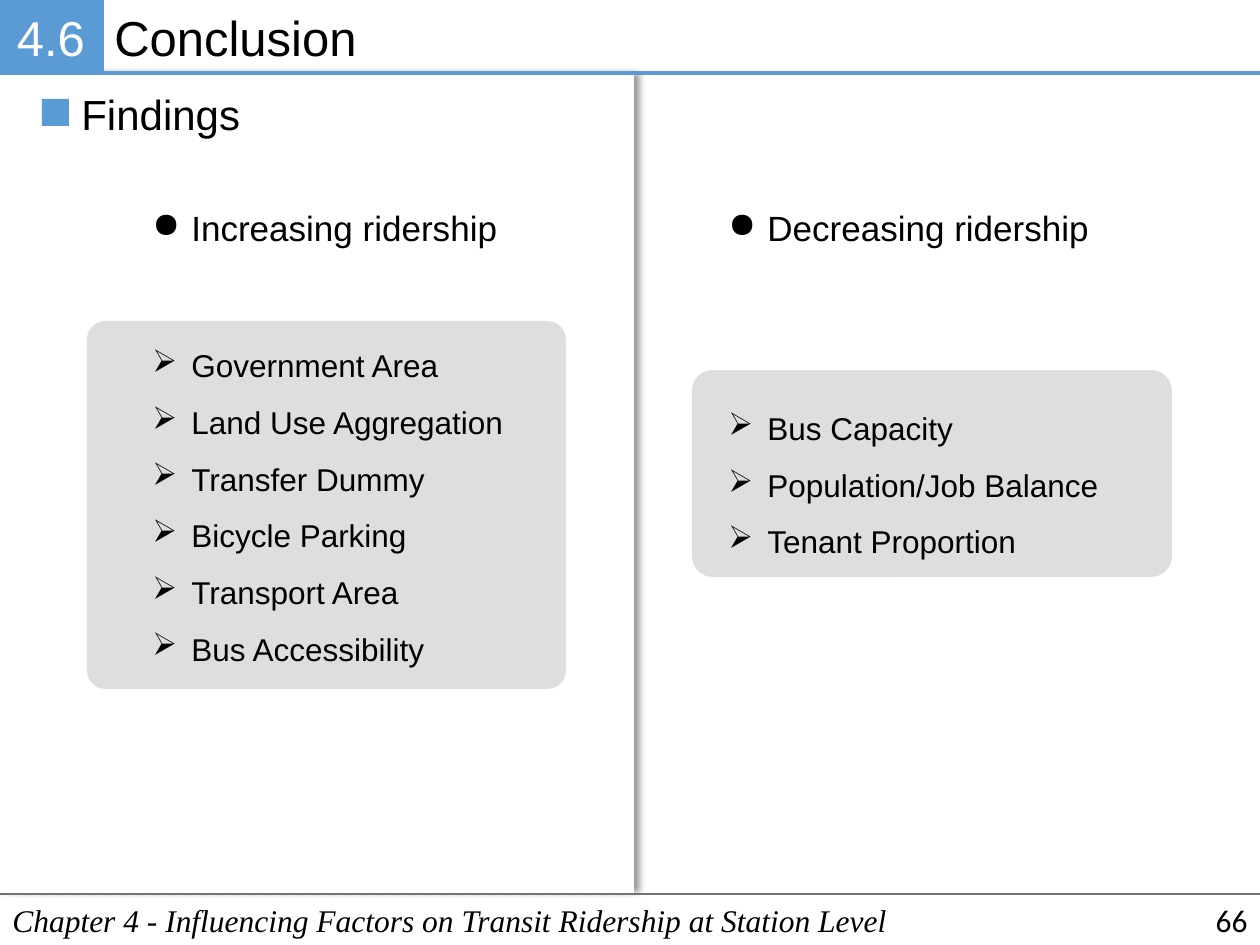
"""Build the conclusion slide on findings about transit ridership."""
from lxml import etree
from pptx import Presentation
from pptx.dml.color import RGBColor
from pptx.enum.shapes import MSO_CONNECTOR, MSO_SHAPE
from pptx.enum.text import MSO_ANCHOR, PP_ALIGN
from pptx.oxml.ns import qn
from pptx.util import Emu, Pt

RECT, ROUND = MSO_SHAPE.RECTANGLE, MSO_SHAPE.ROUNDED_RECTANGLE
STRAIGHT = MSO_CONNECTOR.STRAIGHT
LEFT, CENTER, RIGHT = PP_ALIGN.LEFT, PP_ALIGN.CENTER, PP_ALIGN.RIGHT
TOP, MIDDLE = MSO_ANCHOR.TOP, MSO_ANCHOR.MIDDLE
BLACK = RGBColor(0x00, 0x00, 0x00)
WHITE = RGBColor(0xFF, 0xFF, 0xFF)
BLUE = RGBColor(0x5B, 0x9B, 0xD5)
GRAY = RGBColor(0x7F, 0x7F, 0x7F)
RULE = RGBColor(0x76, 0x71, 0x71)
SCALE = 914400 / 126
INDENT = 39


def px(*nums):
    return [Emu(round(num * SCALE)) for num in nums]


def write(text, shape, size=18, font="Arial", color=BLACK, italic=False,
          align=LEFT, anchor=TOP, wrap=True, bullet=None, space=None):
    frame = shape.text_frame
    frame.word_wrap = wrap
    frame.vertical_anchor = anchor
    frame.text = text
    for para in frame.paragraphs:
        para.alignment = align
        if space:
            para.line_spacing = space
        if bullet:
            props = para._p.get_or_add_pPr()
            hang = px(INDENT)[0]
            props.set("marL", str(hang))
            props.set("indent", str(-hang))
            etree.SubElement(props, qn("a:buChar")).set("char", bullet)
        for run in para.runs:
            run.font.size = Pt(size)
            run.font.name = font
            run.font.italic = italic
            run.font.color.rgb = color


deck = Presentation()
deck.slide_width, deck.slide_height = px(1260, 945)
slide = deck.slides.add_slide(deck.slide_layouts[6])
shapes = slide.shapes

panel = shapes.add_shape(RECT, *px(0, 74, 634, 819))
panel.fill.solid()
panel.fill.fore_color.rgb = WHITE
panel.line.fill.background()
effects = etree.SubElement(panel._element.spPr, qn("a:effectLst"))
shadow = etree.SubElement(effects, qn("a:outerShdw"), blurRad=str(Pt(4)),
                          dist=str(Pt(3)), dir="0", algn="l", rotWithShape="0")
tint = etree.SubElement(shadow, qn("a:srgbClr"), val="000000")
etree.SubElement(tint, qn("a:alpha"), val="40000")

for spot, curve in [((87, 321, 479, 368), 0.05), ((692, 370, 480, 207), 0.1)]:
    card = shapes.add_shape(ROUND, *px(*spot))
    card.shadow.inherit = False
    card.adjustments[0] = curve
    card.fill.solid()
    card.fill.fore_color.rgb = GRAY
    tint = card._element.spPr.find(qn("a:solidFill"))[0]
    etree.SubElement(tint, qn("a:alpha"), val="25000")
    card.line.fill.background()

for start, level, color, width in [(0, 894, RULE, 1), (102, 73, BLUE, 2.25)]:
    line = shapes.add_connector(STRAIGHT, *px(start, level, 1260, level))
    line.line.color.rgb = color
    line.line.width = Pt(width)
    etree.SubElement(line._element.spPr, qn("a:effectLst"))

badge = shapes.add_shape(RECT, *px(0, 0, 102, 73))
badge.shadow.inherit = False
badge.fill.solid()
badge.fill.fore_color.rgb = BLUE
badge.line.color.rgb = BLUE
badge.line.width = Pt(2.25)
frame = badge.text_frame
frame.margin_left, frame.margin_top, frame.margin_right, frame.margin_bottom = px(8, 8, 8, 8)
write("4.6", badge, size=28, color=WHITE, align=CENTER, anchor=MIDDLE)

title = shapes.add_textbox(*px(102, 1, 1158, 72))
write("Conclusion", title, size=28)

group = shapes.add_group_shape()
mark = group.shapes.add_shape(RECT, *px(42, 99, 27, 27))
mark.shadow.inherit = False
mark.fill.solid()
mark.fill.fore_color.rgb = BLUE
mark.line.fill.background()
head = group.shapes.add_textbox(*px(69, 82, 186, 63))
write("Findings", head, size=24, wrap=False)

columns = [
    (140, "Increasing ridership", 321, 349,
     ["Government Area", "Land Use Aggregation", "Transfer Dummy",
      "Bicycle Parking", "Transport Area", "Bus Accessibility"]),
    (716, "Decreasing ridership", 384, 178,
     ["Bus Capacity", "Population/Job Balance", "Tenant Proportion"]),
]
for left, label, top, height, items in columns:
    box = shapes.add_textbox(*px(left, 200, 430, 55))
    write(label, box, size=20, bullet="●")
    box = shapes.add_textbox(*px(left, top, 430, height))
    write("\n".join(items), box, bullet="➢", space=1.5)

foot = shapes.add_textbox(*px(0, 895, 1260, 50))
write("Chapter 4 - Influencing Factors on Transit Ridership at Station Level",
      foot, font="Times New Roman", italic=True)
page = shapes.add_textbox(*px(977, 895, 283, 50))
write("66", page, font="Calibri", align=RIGHT, anchor=MIDDLE)

deck.save("out.pptx")
